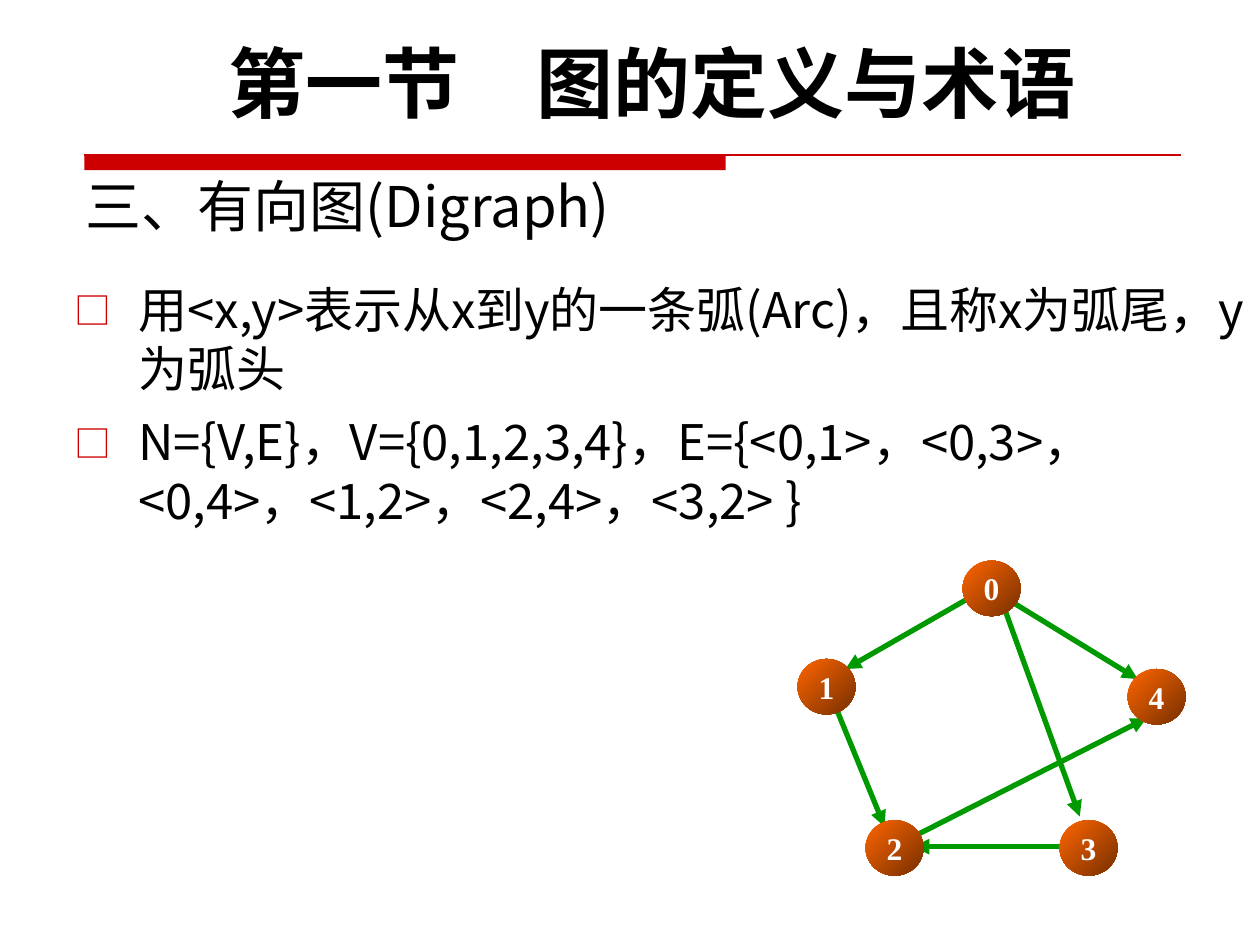
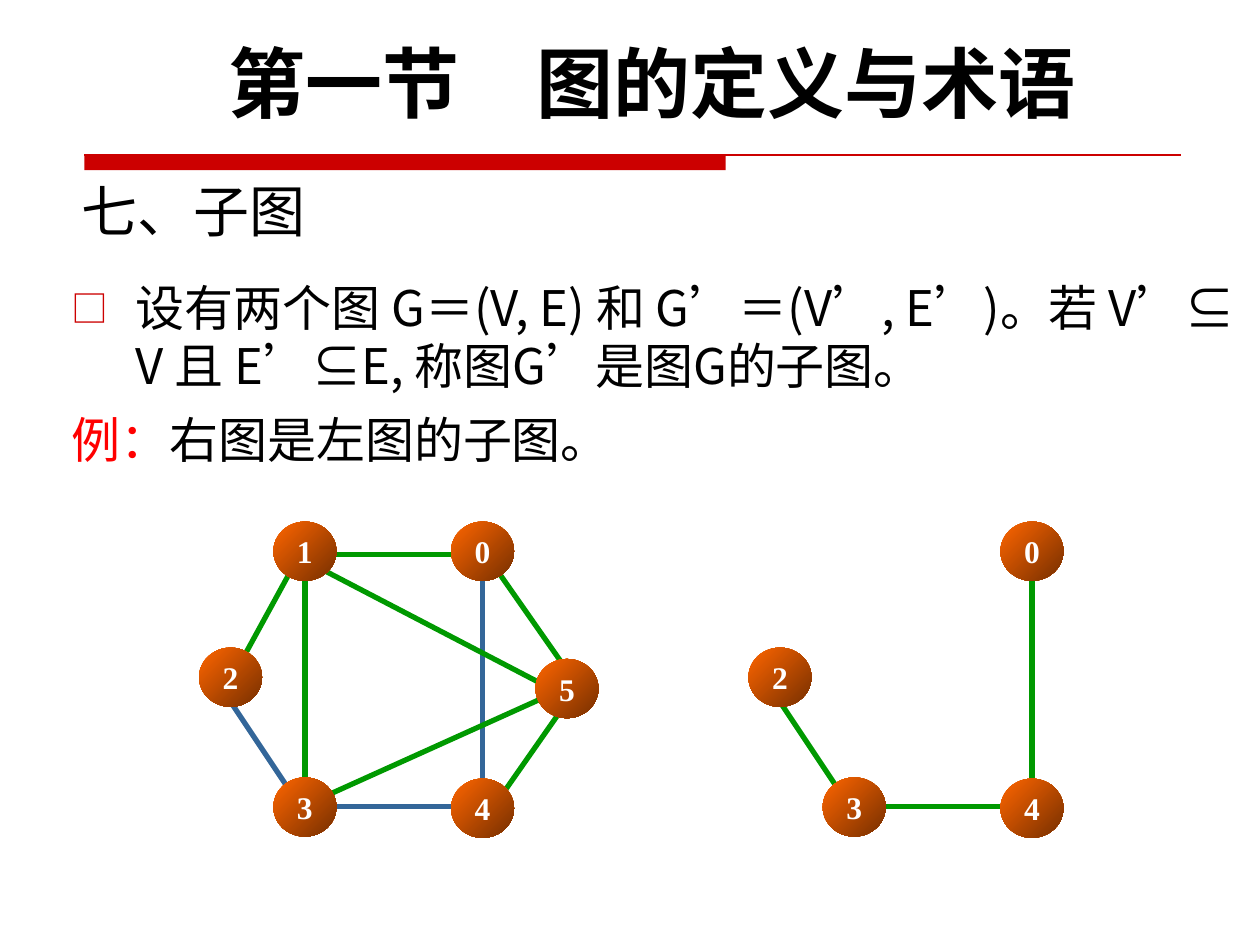
import dataclasses

import lxml.etree
import pptx
import pptx.dml.color
import pptx.enum.dml
import pptx.enum.shapes
import pptx.enum.text
import pptx.oxml.ns
import pptx.util

SHAPE = pptx.enum.shapes.MSO_SHAPE
ANCHOR = pptx.enum.text.MSO_ANCHOR
ALIGN = pptx.enum.text.PP_ALIGN
COLS, ROWS = 100, 75


@dataclasses.dataclass(frozen=True)
class Theme:
    # Colours
    ink: str = "000000"
    red: str = "CC0000"
    mark: str = "FF0000"
    green: str = "009900"
    blue: str = "336699"
    light: str = "FF6600"
    dark: str = "762F00"
    white: str = "FFFFFF"
    # Fonts and sizes in points
    head: str = "Lato"
    text: str = "Noto Sans CJK SC"
    label: str = "Times New Roman"
    head_size: int = 44
    title_size: int = 32
    text_size: int = 28
    label_size: int = 18
    edge: float = 3
    rule: float = 0.75
    leading: float = 1.2
    gap: float = 0.3


def color(code):
    return pptx.dml.color.RGBColor.from_string(code)


def child(parent, tag, **attrs):
    return lxml.etree.SubElement(parent, pptx.oxml.ns.qn(tag), attrs)


class Deck:
    def __init__(self, theme):
        self.theme = theme
        self.file = pptx.Presentation()
        self.file.slide_width = pptx.util.Inches(10)
        self.file.slide_height = pptx.util.Inches(7.5)
        self.slide = None

    def grid(self, x, y):
        """Turn columns and rows into slide lengths."""
        return (round(x * self.file.slide_width / COLS),
                round(y * self.file.slide_height / ROWS))

    def style(self, run, font, size, code, bold=False):
        run.font.name = font
        run.font.size = pptx.util.Pt(size)
        run.font.bold = bold
        run.font.color.rgb = color(code)
        child(run.font._element, "a:ea", typeface=font)

    def page(self, header):
        """Start a slide with the shared band and header."""
        self.slide = self.file.slides.add_slide(self.file.slide_layouts[6])
        band = self.slide.shapes.add_shape(
            SHAPE.RECTANGLE, *self.grid(6.7, 12.3), *self.grid(50.9, 1.2))
        band.shadow.inherit = False
        band.fill.solid()
        band.fill.fore_color.rgb = color(self.theme.red)
        band.line.fill.background()
        self.line(self.slide.shapes, (6.7, 12.3, 93.7, 12.3),
                  self.theme.red, self.theme.rule)
        frame = self.box(5.5, 2.3, 92.5, 8.4)
        frame.text = header
        frame.paragraphs[0].alignment = ALIGN.CENTER
        self.style(frame.paragraphs[0].runs[0], self.theme.head,
                   self.theme.head_size, self.theme.ink, True)

    def box(self, x, y, wide, high):
        frame = self.slide.shapes.add_textbox(
            *self.grid(x, y), *self.grid(wide, high)).text_frame
        frame.word_wrap = True
        return frame

    def title(self, text, x, y, high):
        frame = self.box(x, y, 62.5, high)
        frame.vertical_anchor = ANCHOR.BOTTOM
        frame.text = text
        self.style(frame.paragraphs[0].runs[0], self.theme.text,
                   self.theme.title_size, self.theme.ink)

    def body(self, items, x, y, high):
        """Each item is a flag for the bullet and a list of (text, colour)."""
        theme = self.theme
        frame = self.box(x, y, 95.8, high)
        for index, (bullet, parts) in enumerate(items):
            para = frame.add_paragraph() if index else frame.paragraphs[0]
            if bullet:
                self.bullet(para)
            para.line_spacing = pptx.util.Pt(theme.leading * theme.text_size)
            if index:
                para.space_before = pptx.util.Pt(theme.gap * theme.text_size)
            for text, code in parts:
                run = para.add_run()
                run.text = text
                self.style(run, theme.text, theme.text_size, code)

    def bullet(self, para):
        props = para._p.get_or_add_pPr()
        indent = self.grid(5.1, 0)[0]
        props.set("marL", str(indent))
        props.set("indent", str(-indent))
        child(child(props, "a:buClr"), "a:srgbClr", val=self.theme.red)
        child(props, "a:buSzPct", val="75000")
        child(props, "a:buFont", typeface=self.theme.text)
        child(props, "a:buChar", char="□")

    def line(self, shapes, ends, code, width, arrow=False):
        line = shapes.add_connector(
            pptx.enum.shapes.MSO_CONNECTOR.STRAIGHT,
            *self.grid(*ends[:2]), *self.grid(*ends[2:]))
        line.line.color.rgb = color(code)
        line.line.width = pptx.util.Pt(width)
        if arrow:
            child(line.line._get_or_add_ln(), "a:tailEnd", type="triangle")
        child(line._element.spPr, "a:effectLst")

    def node(self, shapes, name, spot, size):
        ball = shapes.add_shape(SHAPE.OVAL, *self.grid(*spot), *self.grid(*size))
        ball.shadow.inherit = False
        ball.fill.gradient()
        ball.fill.gradient_angle = 315
        shades = (self.theme.light, self.theme.dark)
        for place, (stop, code) in enumerate(zip(ball.fill.gradient_stops, shades)):
            stop.position = place
            stop.color.rgb = color(code)
        ball.line.fill.background()
        frame = ball.text_frame
        frame.margin_left = frame.margin_right = 0
        frame.word_wrap = False
        frame.vertical_anchor = ANCHOR.MIDDLE
        frame.text = name
        frame.paragraphs[0].alignment = ALIGN.CENTER
        self.style(frame.paragraphs[0].runs[0], self.theme.label,
                   self.theme.label_size, self.theme.white, True)

    def graph(self, nodes, edges, size, blue=(), arrow=False, shift=0):
        """Draw the edges, then the nodes over them, as one group."""
        shapes = self.slide.shapes.add_group_shape().shapes
        for pair, (x1, y1, x2, y2) in edges.items():
            code = self.theme.blue if pair in blue else self.theme.green
            self.line(shapes, (x1 + shift, y1, x2 + shift, y2),
                      code, self.theme.edge, arrow)
        for name, (x, y) in nodes.items():
            self.node(shapes, name, (x + shift, y), size)


HEADER = "第一节\u3000图的定义与术语".replace("\u3000", "　")

# Directed graph: node corners, and arcs from tail to head
ARC_NODES = {"1": (63.3, 52.3), "3": (84.1, 65.1), "2": (68.7, 65.1),
             "4": (89.5, 53.1), "0": (76.4, 44.5)}
ARCS = {"04": (80.2, 47.7, 90.3, 53.9), "12": (66.4, 56.3, 70.2, 65.6),
        "01": (77.9, 46.9, 67.1, 53.1), "03": (79.5, 47.7, 85.7, 64.8),
        "32": (84.1, 67.2, 72.5, 67.2), "24": (72.5, 66.4, 91, 57)}

# Full graph, and the part of it that forms the subgraph
NODES = {"1": (21.7, 41.4), "3": (21.7, 61.7), "2": (15.8, 51.4),
         "5": (42.5, 52.3), "4": (35.8, 61.8), "0": (35.8, 41.4)}
EDGES = {"01": (36.7, 44, 26.7, 44), "04": (38.3, 45.7, 38.3, 62.4),
         "05": (39.2, 44.9, 45, 53.2), "12": (23.3, 44.9, 19.2, 52.4),
         "31": (24.2, 63.2, 24.2, 45.7), "51": (44.2, 54.9, 25, 44.9),
         "32": (23.3, 63.2, 18.3, 55.7), "43": (37.5, 64, 25, 64),
         "53": (44.2, 54.9, 25.8, 63.2), "54": (45, 55.7, 39.2, 64)}
SUB_NODES = {name: NODES[name] for name in "3240"}
SUB_EDGES = {pair: EDGES[pair] for pair in ("04", "32", "43")}


def main():
    theme = Theme()
    deck = Deck(theme)

    # Directed graph
    deck.page(HEADER)
    deck.title("三、有向图(Digraph)", 5.8, 12.5, 6.9)
    deck.body([
        (True, [("用<x,y>表示从x到y的一条弧(Arc)，且称x为弧尾，y为弧头", theme.ink)]),
        (True, [("N={V,E}，V={0,1,2,3,4}，E={<0,1>，<0,3>，<0,4>，"
                 "<1,2>，<2,4>，<3,2> }", theme.ink)]),
    ], 4.9, 21.7, 22.9)
    deck.graph(ARC_NODES, ARCS, (4.6, 4.4), arrow=True)

    # Subgraph
    deck.page(HEADER)
    deck.title("七、子图", 5.5, 12.3, 7.5)
    deck.body([
        (True, [("设有两个图 G＝(V, E) 和 G’＝(V’, E’)。若 V’⊆ V 且 E’⊆E, "
                 "称图G’是图G的子图。", theme.ink)]),
        (False, [("例：", theme.mark), ("右图是左图的子图。", theme.ink)]),
    ], 4.7, 21.5, 44.2)
    deck.graph(NODES, EDGES, (5, 4.7), blue=SUB_EDGES)
    deck.graph(SUB_NODES, SUB_EDGES, (5, 4.7), shift=43.6)

    deck.file.save("out.pptx")


if __name__ == "__main__":
    main()
